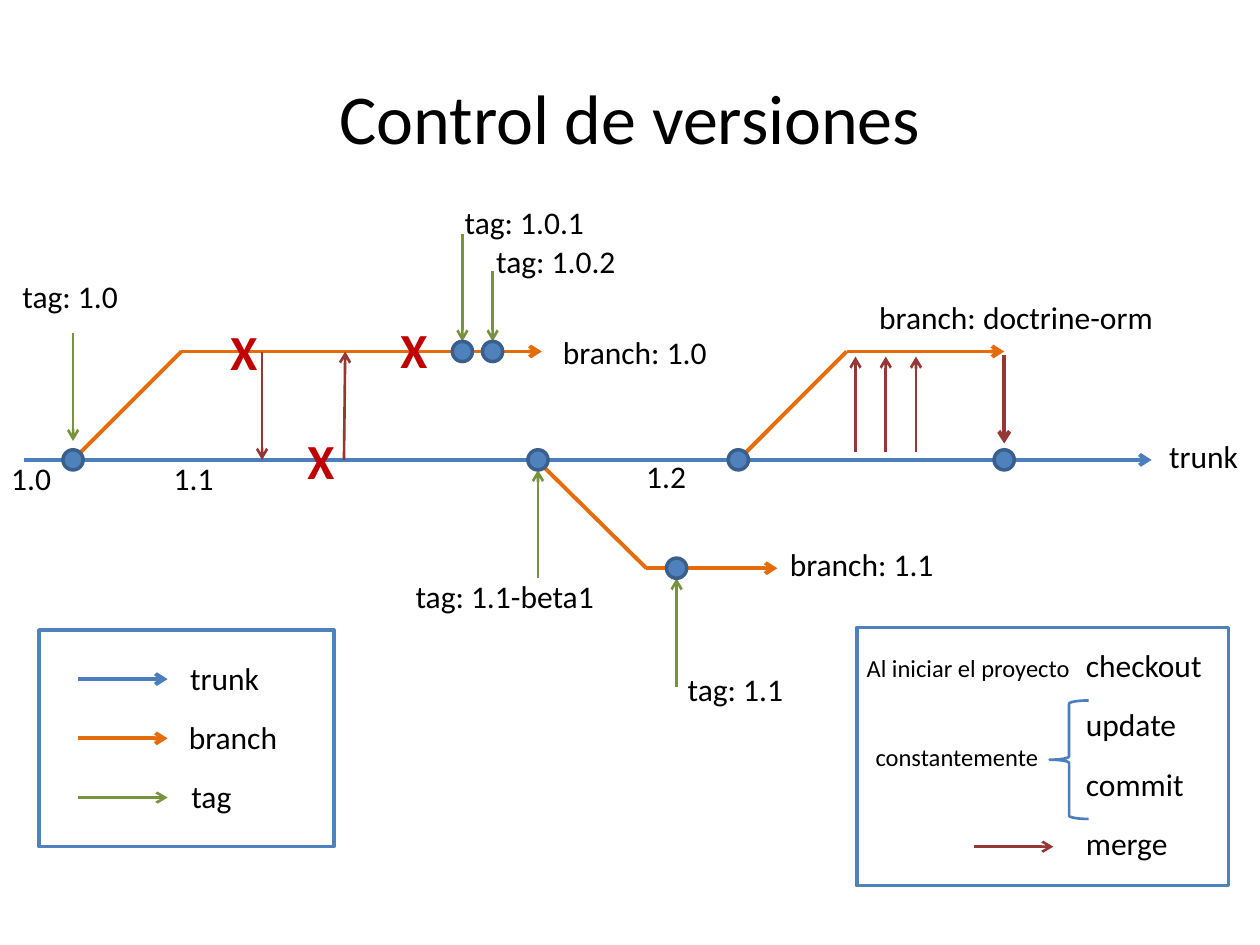
import pptx
import pptx.dml.color
import pptx.enum.shapes
import pptx.enum.text
import pptx.oxml.xmlchemy
import pptx.util

Inches = pptx.util.Inches
RGBColor = pptx.dml.color.RGBColor
Shape = pptx.enum.shapes.MSO_SHAPE

BLACK = RGBColor(0x00, 0x00, 0x00)
TRUNK = RGBColor(0x4B, 0x7E, 0xBC)
BRANCH = RGBColor(0xE4, 0x6C, 0x0A)
TAG = RGBColor(0x77, 0x93, 0x3C)
MERGE = RGBColor(0x95, 0x37, 0x35)
CROSS = RGBColor(0xC0, 0x00, 0x00)
BLUE = RGBColor(0x4F, 0x81, 0xBD)
DOT_EDGE = RGBColor(0x3A, 0x5F, 0x8C)

THICK, THIN = 2.25, 1.5
TRUNK_Y, UPPER_Y, LOWER_Y = 3.65, 2.79, 4.51
DOT_SIZE = 0.16


def write(frame, text, size=18, color=BLACK, bold=False, align=None):
    para = frame.paragraphs[0]
    para.alignment = align
    span = para.add_run()
    span.text = text
    span.font.name = "Calibri"
    span.font.size = pptx.util.Pt(size)
    span.font.color.rgb = color
    span.font.bold = bold


class Diagram:
    def __init__(self, page):
        self.page = page

    def title(self, text):
        box = self.page.shapes.add_textbox(Inches(0.5), Inches(0.3), Inches(9), Inches(1.25))
        frame = box.text_frame
        frame.word_wrap = True
        frame.vertical_anchor = pptx.enum.text.MSO_ANCHOR.MIDDLE
        write(frame, text, size=40, align=pptx.enum.text.PP_ALIGN.CENTER)

    def label(self, text, left, top, width, height=0.4, **style):
        box = self.page.shapes.add_textbox(Inches(left), Inches(top), Inches(width), Inches(height))
        box.text_frame.word_wrap = False
        box.text_frame.auto_size = pptx.enum.text.MSO_AUTO_SIZE.SHAPE_TO_FIT_TEXT
        write(box.text_frame, text, **style)

    def line(self, start, end, color, weight=THIN, arrow=True):
        points = [Inches(value) for value in (*start, *end)]
        connector = self.page.shapes.add_connector(pptx.enum.shapes.MSO_CONNECTOR.STRAIGHT, *points)
        connector.line.color.rgb = color
        connector.line.width = pptx.util.Pt(weight)
        properties = connector._element.spPr
        if arrow:
            tail = pptx.oxml.xmlchemy.OxmlElement("a:tailEnd")
            tail.set("type", "arrow")
            properties.ln.append(tail)
        properties.append(pptx.oxml.xmlchemy.OxmlElement("a:effectLst"))

    def outline(self, kind, left, top, width, height, color, weight=2, fill=None):
        shape = self.page.shapes.add_shape(
            kind, Inches(left), Inches(top), Inches(width), Inches(height))
        shape.shadow.inherit = False
        if fill is None:
            shape.fill.background()
        else:
            shape.fill.solid()
            shape.fill.fore_color.rgb = fill
        shape.line.color.rgb = color
        shape.line.width = pptx.util.Pt(weight)

    def dot(self, x, y):
        half = DOT_SIZE / 2
        self.outline(Shape.OVAL, x - half, y - half, DOT_SIZE, DOT_SIZE, DOT_EDGE, fill=BLUE)

    def branch(self, start, corner, end_x):
        self.line(start, corner, BRANCH, THICK, arrow=False)
        self.line(corner, (end_x, corner[1]), BRANCH, THICK)


def draw_history(diagram):
    diagram.line((0.19, TRUNK_Y), (9.14, TRUNK_Y), TRUNK, THICK)
    diagram.branch((0.63, 3.6), (1.44, UPPER_Y), 4.3)
    diagram.branch((4.32, 3.71), (5.13, LOWER_Y), 6.17)
    diagram.branch((5.91, 3.6), (6.72, UPPER_Y), 7.97)

    for x, start, end in [(0.58, 2.64, 3.5), (3.67, 1.86, 2.71), (3.91, 2.15, 2.71),
                          (4.27, 4.59, 3.73), (5.37, 5.45, 4.59)]:
        diagram.line((x, start), (x, end), TAG)

    diagram.line((2.08, UPPER_Y), (2.08, TRUNK_Y), MERGE)
    diagram.line((2.73, TRUNK_Y), (2.74, UPPER_Y), MERGE)
    for x in (6.79, 7.03, 7.27):
        diagram.line((x, 3.59), (x, 2.83), MERGE)
    diagram.line((7.97, 2.82), (7.97, 3.52), MERGE, THICK)

    for x, y in [(0.58, TRUNK_Y), (4.27, TRUNK_Y), (5.86, TRUNK_Y), (7.97, TRUNK_Y),
                 (3.67, UPPER_Y), (3.91, UPPER_Y), (5.37, LOWER_Y)]:
        diagram.dot(x, y)

    for left, top in [(1.73, 2.5), (3.08, 2.49), (2.34, 3.37)]:
        diagram.label("X", left, top, 0.42, 0.57, size=28, color=CROSS, bold=True)

    for text, left, top, width in [
        ("1.0", -0.01, 3.59, 0.52),
        ("1.1", 1.28, 3.59, 0.52),
        ("1.2", 5.03, 3.58, 0.52),
        ("trunk", 9.18, 3.42, 0.75),
        ("branch: 1.0", 4.37, 2.59, 1.36),
        ("branch: 1.1", 6.17, 4.28, 1.36),
        ("branch: doctrine-orm", 6.88, 2.32, 2.4),
        ("tag: 1.0", 0.08, 2.15, 0.97),
        ("tag: 1.0.1", 3.59, 1.56, 1.16),
        ("tag: 1.0.2", 3.84, 1.87, 1.16),
        ("tag: 1.1-beta1", 3.2, 4.53, 1.63),
        ("tag: 1.1", 5.36, 5.27, 0.97),
    ]:
        diagram.label(text, left, top, width)


def draw_legend(diagram):
    entries = [("trunk", 1.41, 0.75, TRUNK, THICK), ("branch", 1.4, 0.91, BRANCH, THICK),
               ("tag", 1.42, 0.52, TAG, THIN)]
    for row, (text, left, width, color, weight) in enumerate(entries):
        y = 5.39 + 0.47 * row
        diagram.line((0.62, y), (1.33, y), color, weight)
        diagram.label(text, left, y - 0.21, width)
    diagram.outline(Shape.RECTANGLE, 0.31, 5, 2.34, 1.72, BLUE)


def draw_commands(diagram):
    diagram.outline(Shape.RECTANGLE, 6.8, 4.98, 2.95, 2.05, BLUE)
    commands = [("checkout", 1.13), ("update", 0.93), ("commit", 0.99), ("merge", 0.86)]
    for row, (text, width) in enumerate(commands):
        diagram.label(text, 8.52, 5.08 + 0.47 * row, width)
    diagram.label("Al iniciar el proyecto", 6.78, 5.13, 1.83, 0.34, size=14)
    diagram.label("constantemente", 6.85, 5.84, 1.51, 0.34, size=14)
    diagram.outline(Shape.LEFT_BRACE, 8.33, 5.56, 0.31, 0.94, TRUNK, THIN)
    diagram.line((7.73, 6.72), (8.36, 6.72), MERGE)


def main():
    deck = pptx.Presentation()
    deck.slide_width = Inches(10)
    deck.slide_height = Inches(7.5)
    diagram = Diagram(deck.slides.add_slide(deck.slide_layouts[6]))
    diagram.title("Control de versiones")
    draw_history(diagram)
    draw_legend(diagram)
    draw_commands(diagram)
    deck.save("out.pptx")


if __name__ == "__main__":
    main()
